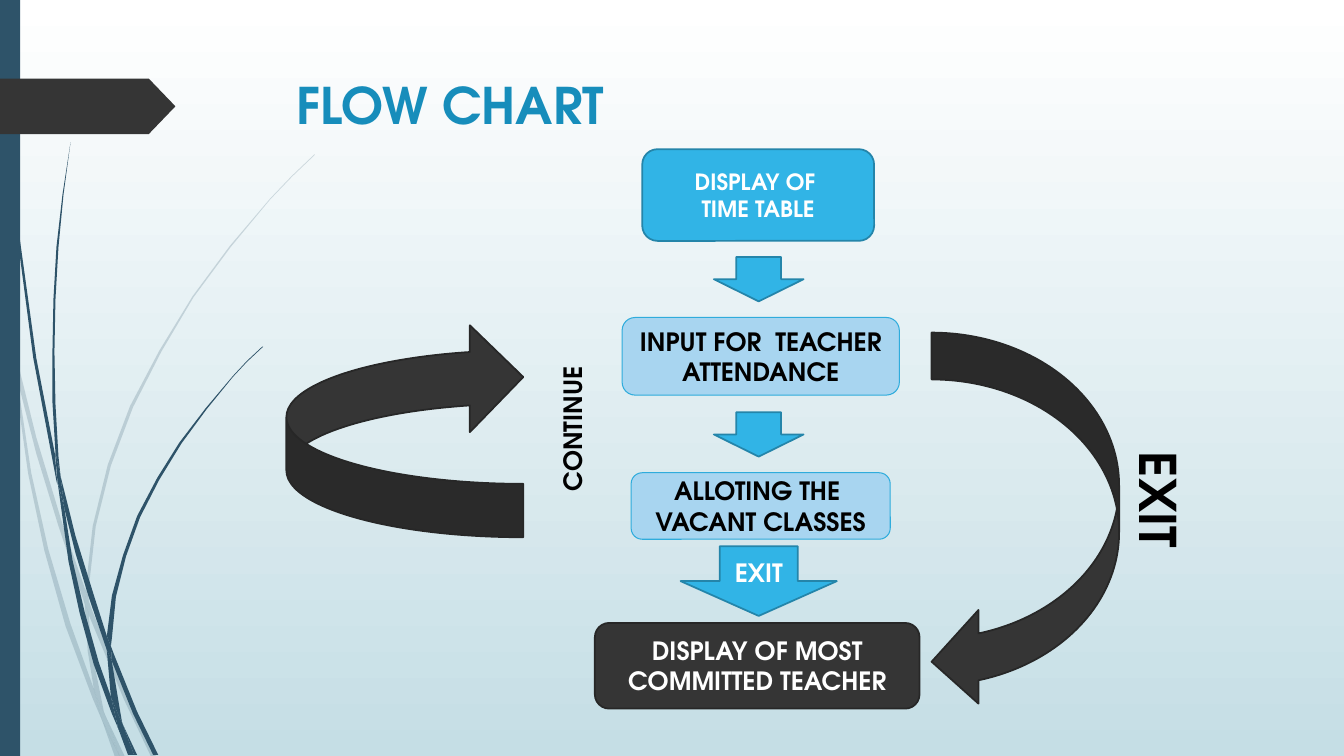
from dataclasses import dataclass

from lxml.etree import SubElement
from pptx import Presentation
from pptx.dml.color import RGBColor
from pptx.enum.shapes import MSO_SHAPE as Shape
from pptx.enum.text import MSO_ANCHOR as Anchor, PP_ALIGN as Align
from pptx.oxml.ns import qn
from pptx.util import Inches, Pt


@dataclass(frozen=True)
class Theme:
    font: str = "TeX Gyre Adventor"
    sky_top: str = "FFFFFF"
    sky_bottom: str = "C5DEE5"
    navy: str = "2E5369"
    title: str = "178DBB"
    black: str = "000000"
    white: str = "FFFFFF"
    # Each box style: fill, line, line width, text colour
    blue: tuple = ("31B4E6", "2485AA", 1.25, "FFFFFF")
    pale: tuple = ("A8D5F0", "2FACDC", 0.75, "000000")
    dark: tuple = ("353535", "272727", 1.25, "FFFFFF")
    large: int = 36
    medium: int = 18
    small: int = 16


# Outlines of the grass blades, as corner points in inches
FAINT_BLADES = [
    [(0.11, 3.5), (0.09, 3.22), (0, 2.82), (0, 2.99), (0.1, 3.44)],
    [(0.58, 5.22), (0.84, 5.99), (0.85, 5.86), (0.62, 5.2), (0.36, 4.34), (0.14, 3.45),
     (0.17, 3.76), (0.36, 4.5)],
    [(0.92, 6.07), (0.88, 5.96), (0.88, 6.1), (1.23, 6.94), (1.5, 7.51), (1.55, 7.51),
     (1.27, 6.92)],
    [(1.19, 7.51), (1.24, 7.51), (1.05, 7.11)],
    [(0.93, 6.83), (0.7, 6.19), (0.48, 5.45), (0.31, 4.69), (0.17, 3.76), (0.11, 3.5),
     (0.28, 4.7), (0.44, 5.46), (0.65, 6.21), (0.92, 6.93), (1.01, 7.14), (0.99, 7.07)],
    [(0.84, 5.99), (0.87, 6.46), (0.93, 6.83), (0.96, 6.92), (1.05, 7.11), (1.03, 7.06),
     (0.91, 6.46), (0.88, 6.1), (0.88, 6.08)],
    [(0.88, 5.84), (0.95, 5.22), (1.1, 4.62), (1.32, 4.04), (1.6, 3.49), (1.92, 2.95),
     (2.29, 2.45), (2.68, 1.98), (2.9, 1.75), (3.12, 1.54), (3.12, 1.53), (2.89, 1.75),
     (2.68, 1.97), (2.28, 2.44), (1.91, 2.94), (1.58, 3.48), (1.29, 4.03), (1.07, 4.61),
     (0.92, 5.22), (0.85, 5.84), (0.85, 5.86), (0.88, 5.96)],
    [(1.01, 7.14), (1.14, 7.51), (1.19, 7.51)],
    [(0.88, 6.08), (0.88, 6.1), (0.88, 5.96), (0.85, 5.86), (0.84, 5.99)],
    [(0.96, 6.92), (0.93, 6.83), (0.99, 7.07), (1.01, 7.14), (1.19, 7.51), (1.05, 7.11)],
]
NAVY_BLADES = [
    [(0.07, 1.1), (0.17, 2.33), (0.33, 3.55), (0.56, 4.77), (0.57, 4.81), (0.55, 4.57),
     (0.55, 4.53), (0.36, 3.55), (0.19, 2.32), (0.08, 1.09), (0.05, 0.48), (0.04, 0),
     (0.03, 0), (0.04, 0.48)],
    [(0.88, 5.92), (1.06, 6.45), (1.06, 6.31), (0.93, 5.9), (0.75, 5.32), (0.6, 4.72),
     (0.64, 5.05), (0.75, 5.49)],
    [(1.13, 6.49), (1.1, 6.41), (1.11, 6.56), (1.32, 7.08), (1.52, 7.49), (1.57, 7.49),
     (1.36, 7.06)],
    [(1.1, 6.91), (0.98, 6.57), (0.84, 6.07), (0.72, 5.56), (0.64, 5.05), (0.57, 4.77),
     (0.68, 5.57), (0.79, 6.08), (0.93, 6.59), (1.11, 7.08), (1.17, 7.22), (1.16, 7.17)],
    [(0.6, 4.72), (0.58, 4.53), (0.55, 4.01), (0.54, 3.49), (0.55, 2.97), (0.58, 2.45),
     (0.63, 1.93), (0.7, 1.41), (0.62, 1.93), (0.56, 2.45), (0.53, 2.97), (0.52, 3.49),
     (0.52, 3.99), (0.55, 4.49)],
    [(1.33, 7.49), (1.36, 7.49), (1.22, 7.19)],
    [(0.57, 4.77), (0.64, 5.05), (0.6, 4.72), (0.55, 4.49), (0.55, 4.53)],
    [(1.11, 6.33), (1.15, 5.92), (1.25, 5.52), (1.39, 5.13), (1.58, 4.76), (1.8, 4.4),
     (2.05, 4.06), (2.31, 3.74), (2.45, 3.59), (2.61, 3.44), (2.6, 3.44), (2.45, 3.58),
     (2.31, 3.73), (2.04, 4.05), (1.78, 4.39), (1.56, 4.74), (1.36, 5.12), (1.22, 5.51),
     (1.11, 5.91), (1.06, 6.31), (1.1, 6.41)],
    [(1.17, 7.22), (1.27, 7.49), (1.31, 7.49)],
    [(1.06, 6.45), (1.1, 6.91), (1.16, 7.06), (1.22, 7.19), (1.21, 7.16), (1.11, 6.56),
     (1.09, 6.51)],
    [(1.06, 6.45), (1.09, 6.51), (1.11, 6.56), (1.1, 6.41), (1.06, 6.31)],
    [(1.16, 7.06), (1.1, 6.91), (1.16, 7.17), (1.17, 7.22), (1.3, 7.49), (1.33, 7.49),
     (1.22, 7.19)],
]


class SlideBuilder:
    def __init__(self, slide, theme):
        self.slide = slide
        self.theme = theme

    def background(self):
        fill = self.slide.background.fill
        fill.gradient()
        fill.gradient_angle = 270
        colors = (self.theme.sky_top, self.theme.sky_bottom)
        for stop, position, color in zip(fill.gradient_stops, (0, 1), colors):
            stop.position = position
            stop.color.rgb = RGBColor.from_string(color)

    def format_text(self, text_frame, size, color, align=Align.LEFT):
        for paragraph in text_frame.paragraphs:
            paragraph.alignment = align
            for run in paragraph.runs:
                run.font.name = self.theme.font
                run.font.size = Pt(size)
                run.font.bold = True
                run.font.color.rgb = RGBColor.from_string(color)

    def paint(self, shape, color):
        shape.shadow.inherit = False
        shape.fill.solid()
        shape.fill.fore_color.rgb = RGBColor.from_string(color)
        shape.line.fill.background()

    def title(self, text, left, top, width, height):
        title = self.slide.shapes.title
        title.left, title.top = Inches(left), Inches(top)
        title.width, title.height = Inches(width), Inches(height)
        title.text_frame.text = text
        title.text_frame.vertical_anchor = Anchor.MIDDLE
        self.format_text(title.text_frame, self.theme.large, self.theme.title)

    def blade(self, outline, opacity=100):
        points = [(Inches(x), Inches(y)) for x, y in outline]
        builder = self.slide.shapes.build_freeform(*points[0])
        builder.add_line_segments(points[1:], close=True)
        shape = builder.convert_to_shape()
        self.paint(shape, self.theme.navy)
        if opacity < 100:
            color = shape._element.spPr.find(qn("a:solidFill"))[0]
            SubElement(color, qn("a:alpha")).set("val", str(opacity * 1000))

    def plain(self, kind, color, left, top, width, height):
        shape = self.slide.shapes.add_shape(
            kind, Inches(left), Inches(top), Inches(width), Inches(height))
        self.paint(shape, color)
        return shape

    def block(self, kind, style, left, top, width, height, text="", size=None, rotation=0):
        fill, line, line_width, text_color = style
        shape = self.plain(kind, fill, left, top, width, height)
        shape.line.color.rgb = RGBColor.from_string(line)
        shape.line.width = Pt(line_width)
        shape.rotation = rotation
        if text:
            shape.text_frame.text = text
            shape.text_frame.word_wrap = True
            shape.text_frame.vertical_anchor = Anchor.MIDDLE
            self.format_text(shape.text_frame, size or self.theme.medium,
                             text_color, Align.CENTER)

    def label(self, text, size, left, top, width, height, rotation):
        box = self.slide.shapes.add_textbox(
            Inches(left), Inches(top), Inches(width), Inches(height))
        box.rotation = rotation
        box.text_frame.word_wrap = True
        box.text_frame.text = text
        self.format_text(box.text_frame, size, self.theme.black)


def main():
    presentation = Presentation()
    presentation.slide_width, presentation.slide_height = Inches(13.33), Inches(7.5)
    theme = Theme()
    builder = SlideBuilder(presentation.slides.add_slide(presentation.slide_layouts[5]), theme)

    # Backdrop
    builder.background()
    for outline in FAINT_BLADES:
        builder.blade(outline, opacity=20)
    for outline in NAVY_BLADES:
        builder.blade(outline)
    builder.plain(Shape.RECTANGLE, theme.navy, 0, 0, 0.2, 7.5)
    tag = builder.plain(Shape.PENTAGON, theme.dark[0], 0, 0.78, 1.74, 0.55)
    tag.adjustments[0] = 0.48

    builder.title("FLOW CHART", 2.84, 0.68, 9.75, 0.71)

    # Steps, top to bottom
    box, down = Shape.ROUNDED_RECTANGLE, Shape.DOWN_ARROW
    builder.block(box, theme.blue, 6.37, 1.48, 2.3, 0.91, "DISPLAY OF \nTIME TABLE", theme.small)
    builder.block(box, theme.pale, 6.17, 3.15, 2.75, 0.77, "INPUT FOR  TEACHER ATTENDANCE")
    builder.block(box, theme.pale, 6.26, 4.69, 2.57, 0.66, "ALLOTING THE \nVACANT CLASSES")
    builder.block(box, theme.dark, 5.9, 6.18, 3.22, 0.85, "DISPLAY OF MOST COMMITTED TEACHER")

    # Arrows between the steps
    for top in (2.55, 4.09):
        builder.block(down, theme.blue, 7.08, top, 0.89, 0.44)
    builder.block(down, theme.blue, 6.75, 5.42, 1.55, 0.69, "EXIT")

    # Loop and exit arrows with their labels
    builder.block(Shape.CURVED_LEFT_ARROW, theme.dark, 9.24, 3.3, 1.86, 3.73)
    builder.block(Shape.CURVED_LEFT_ARROW, theme.dark, 2.84, 3.21, 2.35, 2.12, rotation=180)
    builder.label("CONTINUE", theme.medium, 4.92, 4.02, 1.51, 0.4, rotation=270)
    builder.label("EXIT", theme.large, 10.82, 4.71, 1.36, 0.71, rotation=90)

    presentation.save("out.pptx")


if __name__ == "__main__":
    main()
